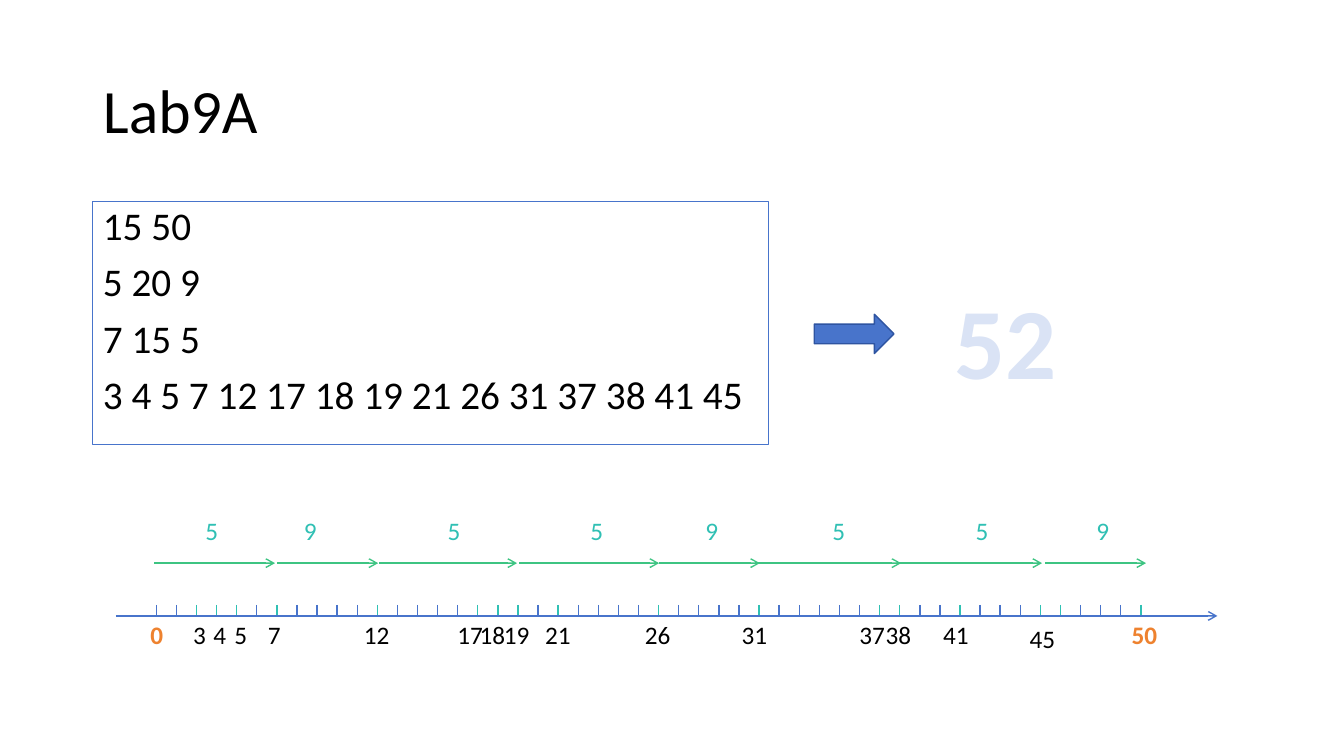
from dataclasses import dataclass
from typing import Any, NamedTuple

from lxml import etree
from pptx import Presentation
from pptx.dml.color import RGBColor
from pptx.enum.shapes import MSO_CONNECTOR, MSO_SHAPE
from pptx.enum.text import MSO_ANCHOR, MSO_AUTO_SIZE, PP_ALIGN
from pptx.oxml.ns import qn
from pptx.util import Cm, Pt

STRAIGHT = MSO_CONNECTOR.STRAIGHT
RIGHT_ARROW = MSO_SHAPE.RIGHT_ARROW
MIDDLE, TOP = MSO_ANCHOR.MIDDLE, MSO_ANCHOR.TOP
LEFT, CENTER = PP_ALIGN.LEFT, PP_ALIGN.CENTER
NO_AUTOFIT = MSO_AUTO_SIZE.NONE


@dataclass(frozen=True)
class Theme:
    font: str = "Calibri"
    text: str = "000000"
    blue: str = "4874CB"
    dark_blue: str = "2E54A1"
    pale_blue: str = "DAE3F5"
    teal: str = "30C0B4"
    green: str = "3DC482"
    orange: str = "EE822F"
    title_size: float = 44
    body_size: float = 28
    label_size: float = 18
    answer_size: float = 72


class Box(NamedTuple):
    left: float
    top: float
    width: float
    height: float


class Station(NamedTuple):
    value: int
    left: float
    width: float
    top: float = 15.49
    endpoint: bool = False


class Jump(NamedTuple):
    start: float
    end: float
    cost: int
    label_centre: float


THEME = Theme()
AXIS_Y = 15.52
TICK_TOP, TICK_BOTTOM = 15.24, 15.49
FIRST_TICK, LAST_TICK, LAST_INDEX = 3.94, 28.75, 49
JUMP_Y = 14.19
COST_TOP, COST_WIDTH = 12.85, 1.2
LABEL_HEIGHT = 1.02

INPUT_LINES = [
    "15 50",
    "5 20 9",
    "7 15 5",
    "3 4 5 7 12 17 18 19 21 26 31 37 38 41 45",
]
STATIONS = [
    Station(0, 3.61, 0.43, endpoint=True),
    Station(3, 4.62, 0.71),
    Station(4, 5.13, 1.12),
    Station(5, 5.66, 0.89),
    Station(7, 6.5, 0.84),
    Station(12, 8.92, 1.7),
    Station(17, 11.28, 1.3),
    Station(18, 11.84, 1.4),
    Station(19, 12.45, 1.3),
    Station(21, 13.49, 1.24),
    Station(26, 16, 1.45),
    Station(31, 18.44, 1.22),
    Station(37, 21.41, 1.47),
    Station(38, 22.07, 1.5),
    Station(41, 23.52, 1.4),
    Station(45, 25.7, 1.4, top=15.57),
    Station(50, 28.27, 1.42, endpoint=True),
]
JUMPS = [
    Jump(3.89, 6.93, 5, 5.34),
    Jump(6.99, 9.53, 9, 7.82),
    Jump(9.55, 13.03, 5, 11.44),
    Jump(13.08, 16.61, 5, 15.04),
    Jump(16.61, 19.15, 9, 17.94),
    Jump(19.08, 22.71, 5, 21.14),
    Jump(22.66, 26.26, 5, 24.75),
    Jump(26.34, 28.88, 9, 27.79),
]


def place(shape: Any, box: Box) -> None:
    shape.left, shape.top, shape.width, shape.height = map(Cm, box)


def write_text(shape: Any, lines: list[str], *, size: float, color: str = THEME.text,
               bold: bool = False, line_spacing: float = 1.0, space_before: float = 0,
               anchor: Any = TOP, alignment: Any = LEFT) -> None:
    frame = shape.text_frame
    frame.word_wrap = True
    frame.auto_size = NO_AUTOFIT
    frame.vertical_anchor = anchor
    for index, line in enumerate(lines):
        paragraph = frame.paragraphs[0] if index == 0 else frame.add_paragraph()
        properties = paragraph._p.get_or_add_pPr()
        properties.set("marL", "0")
        properties.set("indent", "0")
        etree.SubElement(properties, qn("a:buNone"))
        paragraph.alignment = alignment
        paragraph.line_spacing = line_spacing
        paragraph.space_before = Pt(space_before if index else 0)
        run = paragraph.add_run()
        run.text = line
        run.font.name = THEME.font
        run.font.size = Pt(size)
        run.font.bold = bold
        run.font.color.rgb = RGBColor.from_string(color)


def add_text(slide: Any, box: Box, text: str, **text_format: Any) -> None:
    write_text(slide.shapes.add_textbox(*map(Cm, box)), [text], **text_format)


def add_line(slide: Any, start: tuple[float, float], end: tuple[float, float],
             color: str, arrow: bool = False) -> None:
    connector = slide.shapes.add_connector(STRAIGHT, *map(Cm, (*start, *end)))
    connector.line.color.rgb = RGBColor.from_string(color)
    connector.line.width = Pt(1)
    if arrow:
        etree.SubElement(connector.line._get_or_add_ln(), qn("a:tailEnd"), type="arrow")
    etree.SubElement(connector._element.spPr, qn("a:effectLst"))


def add_number_line(slide: Any) -> None:
    add_line(slide, (2.92, AXIS_Y), (30.68, AXIS_Y), THEME.blue, arrow=True)
    marked = {station.value - 1 for station in STATIONS} | {45}
    spacing = (LAST_TICK - FIRST_TICK) / LAST_INDEX
    for index in range(LAST_INDEX + 1):
        x = FIRST_TICK + index * spacing
        color = THEME.teal if index in marked else THEME.blue
        add_line(slide, (x, TICK_TOP), (x, TICK_BOTTOM), color)
    for station in STATIONS:
        add_text(slide, Box(station.left, station.top, station.width, LABEL_HEIGHT),
                 str(station.value), size=THEME.label_size, bold=station.endpoint,
                 color=THEME.orange if station.endpoint else THEME.text)


def add_jumps(slide: Any) -> None:
    for jump in JUMPS:
        add_line(slide, (jump.start, JUMP_Y), (jump.end, JUMP_Y), THEME.green, arrow=True)
        left = jump.label_centre - COST_WIDTH / 2
        add_text(slide, Box(left, COST_TOP, COST_WIDTH, LABEL_HEIGHT), str(jump.cost),
                 size=THEME.label_size, color=THEME.teal, alignment=CENTER)


def add_answer(slide: Any) -> None:
    arrow = slide.shapes.add_shape(RIGHT_ARROW, *map(Cm, (20.52, 7.92, 2.01, 0.99)))
    arrow.shadow.inherit = False
    arrow.fill.solid()
    arrow.fill.fore_color.rgb = RGBColor.from_string(THEME.blue)
    arrow.line.color.rgb = RGBColor.from_string(THEME.dark_blue)
    arrow.line.width = Pt(1)
    add_text(slide, Box(23.8, 6.91, 3.2, 3.35), "52",
             size=THEME.answer_size, color=THEME.pale_blue, bold=True)


def main() -> None:
    presentation = Presentation()
    presentation.slide_width, presentation.slide_height = Cm(33.87), Cm(19.05)
    slide = presentation.slides.add_slide(presentation.slide_layouts[1])
    title, body = slide.shapes.title, slide.placeholders[1]
    place(title, Box(2.34, 1.02, 29.21, 3.68))
    write_text(title, ["Lab9A"], size=THEME.title_size, line_spacing=0.9, anchor=MIDDLE)
    place(body, Box(2.34, 5.08, 17.04, 6.12))
    body.line.color.rgb = RGBColor.from_string(THEME.blue)
    body.line.width = Pt(0.75)
    write_text(body, INPUT_LINES, size=THEME.body_size, line_spacing=0.9, space_before=10)
    add_number_line(slide)
    add_jumps(slide)
    add_answer(slide)
    presentation.save("out.pptx")


if __name__ == "__main__":
    main()
